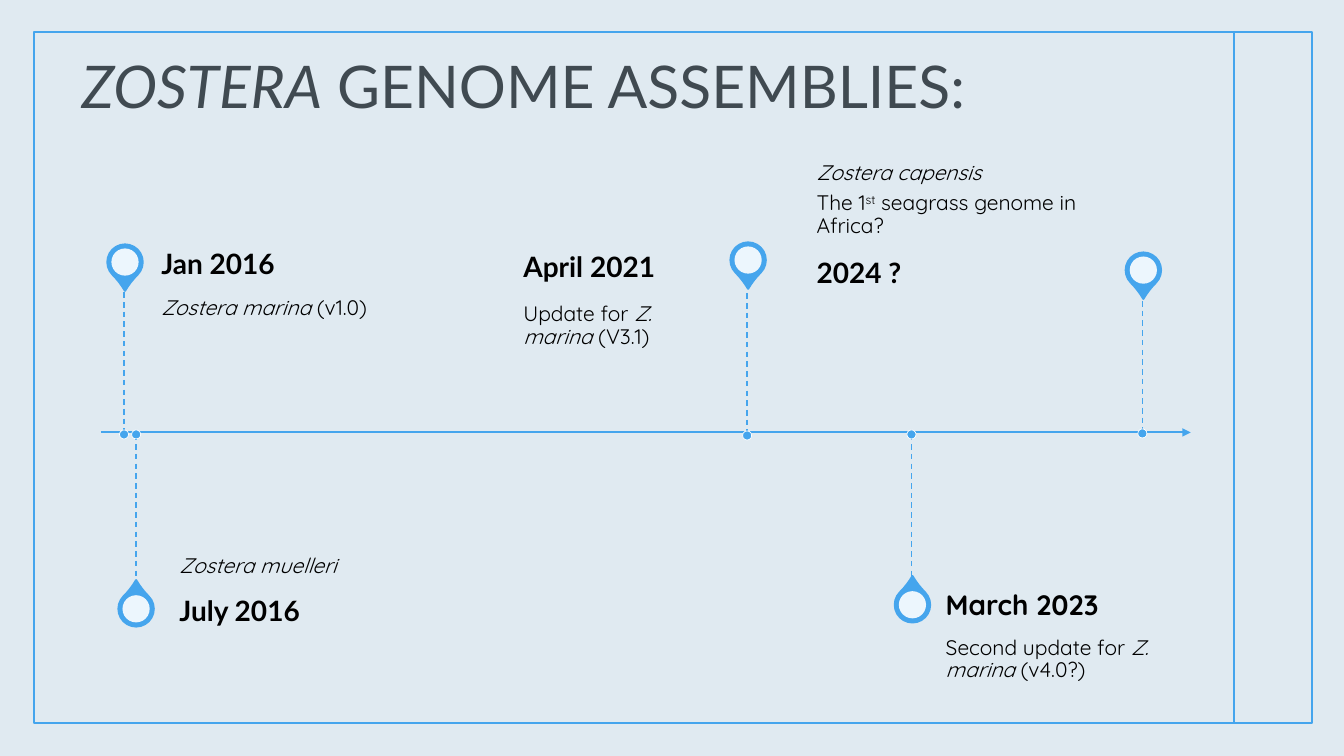
from dataclasses import dataclass

from lxml.etree import SubElement
from pptx import Presentation
from pptx.dml.color import RGBColor
from pptx.enum.dml import MSO_LINE
from pptx.enum.shapes import MSO_CONNECTOR, MSO_SHAPE as SHAPE
from pptx.enum.text import MSO_ANCHOR as ANCHOR, MSO_AUTO_SIZE, PP_ALIGN
from pptx.oxml.ns import qn
from pptx.util import Inches, Pt

COLORS = {"page": "F2F2F2", "accent": "45A5ED", "white": "FFFFFF",
          "title": "404040", "text": "000000"}
PIN, HOLE, DOT, STEM = 0.35, 0.27, 0.09, 1.41
TEXT_HEIGHT, DATE_HEIGHT = 1.41, 0.5


@dataclass
class Event:
    date: str
    details: list        # paragraphs, each a list of (text, style)
    pin: tuple           # centre of the pin
    dot: tuple           # centre of the dot on the axis
    date_box: tuple      # left, top, width
    detail_top: float
    up: bool = True      # pin above the axis
    date_font: str = "Lato"


EVENTS = [
    Event("Jan 2016", [[("Zostera marina ", "italic"), ("(v1.0)", "")]],
          (1.24, 2.6), (1.23, 4.31), (1.6, 2.38, 3), 2.87),
    Event("July 2016", [[("Zostera muelleri", "italic")]],
          (1.35, 6.04), (1.35, 4.31), (1.78, 5.83, 3), 4.41, up=False),
    Event("April 2021", [[("Update for ", ""), ("Z. marina ", "italic"), ("(V3.1)", "")]],
          (7.42, 2.58), (7.41, 4.32), (5.19, 2.41, 1.98), 2.91),
    Event("March 2023", [[("Second update for ", ""), ("Z. marina ", "italic"), ("(v4.0?)", "")]],
          (9.05, 6), (9.04, 4.31), (9.38, 5.77, 2.21), 6.22, up=False, date_font="Quicksand"),
    Event("2024 ?", [[("Zostera capensis", "italic")],
                     [("The 1", ""), ("st", "super"), (" seagrass genome in Africa?", "")]],
          (11.34, 2.68), (11.33, 4.3), (8.1, 2.47, 3), 1.05),
]


def color(name):
    return RGBColor.from_string(COLORS[name])


def add_shape(page, kind, box, fill=None, opacity=100, line=None, width=1.0):
    shape = page.shapes.add_shape(kind, *map(Inches, box))
    shape.shadow.inherit = False
    if fill:
        shape.fill.solid()
        shape.fill.fore_color.rgb = color(fill)
        if opacity < 100:
            tint = shape.fill._xPr.find(qn("a:solidFill"))[0]
            SubElement(tint, qn("a:alpha"), val=str(opacity * 1000))
    else:
        shape.fill.background()
    if line:
        shape.line.color.rgb = color(line)
        shape.line.width = Pt(width)
    else:
        shape.line.fill.background()
    return shape


def add_centered(page, kind, center, size, **style):
    x, y = center
    return add_shape(page, kind, (x - size / 2, y - size / 2, size, size), **style)


def add_line(page, start, end, width):
    line = page.shapes.add_connector(MSO_CONNECTOR.STRAIGHT, *map(Inches, start + end))
    line.line.color.rgb = color("accent")
    line.line.width = Pt(width)
    SubElement(line._element.spPr, qn("a:effectLst"))
    return line


def add_text(page, box, paragraphs, font, size, anchor, insets, bold=False):
    frame = page.shapes.add_textbox(*map(Inches, box)).text_frame
    frame.word_wrap = True
    frame.vertical_anchor = anchor
    (frame.margin_left, frame.margin_top,
     frame.margin_right, frame.margin_bottom) = map(Inches, insets)
    for index, spans in enumerate(paragraphs):
        para = frame.add_paragraph() if index else frame.paragraphs[0]
        para.line_spacing = 0.9
        para.space_after = Pt(5)
        para.font.name = font
        para.font.size = Pt(size)
        para.font.bold = bold
        para.font.color.rgb = color("text")
        for text, style in spans:
            span = para.add_run()
            span.text = text
            if style == "italic":
                span.font.italic = True
            elif style == "super":
                span._r.get_or_add_rPr().set("baseline", "30000")


def draw_frame(page, box):
    left, top, width, height = box
    page.background.fill.solid()
    page.background.fill.fore_color.rgb = color("page")
    add_shape(page, SHAPE.RECTANGLE, (0, 0, 13.33, 7.5), fill="accent", opacity=10)
    divider = left + width - 0.77
    add_line(page, (divider, top), (divider, top + height), 1.25)
    add_shape(page, SHAPE.RECTANGLE, box, line="accent", width=1.25)


def draw_title(page, box):
    title = page.shapes.title
    title.left, title.top, title.width, title.height = map(Inches, box)
    frame = title.text_frame
    frame.auto_size = MSO_AUTO_SIZE.NONE
    frame.vertical_anchor = ANCHOR.BOTTOM
    para = frame.paragraphs[0]
    para.alignment = PP_ALIGN.LEFT
    para.line_spacing = 0.9
    para.font.name = "Lato"
    para.font.size = Pt(42)
    para.font.color.rgb = color("title")
    for text, italic in (("ZOSTERA", True), (" GENOME ASSEMBLIES:", False)):
        span = para.add_run()
        span.text = text
        span.font.italic = italic


def draw_event(page, event):
    # Pin, stem and dot
    pin = add_centered(page, SHAPE.TEAR, event.pin, PIN, fill="accent", line="accent", width=1.5)
    pin.adjustments[0] = 1.15
    pin.rotation = 135 if event.up else 315
    add_centered(page, SHAPE.OVAL, event.pin, HOLE, fill="white", opacity=90)
    x, y = event.dot
    far_end = (x, y - STEM if event.up else y + STEM)
    start, end = sorted([far_end, event.dot])
    add_line(page, start, end, 1).line.dash_style = MSO_LINE.DASH
    add_centered(page, SHAPE.OVAL, event.dot, DOT, fill="accent", line="white", width=0.5)

    # Date and details, which stand above or below the date
    left, top, width = event.date_box
    above = event.detail_top < top
    add_text(page, (left, event.detail_top, width, TEXT_HEIGHT), event.details, "Quicksand", 15,
             ANCHOR.BOTTOM if above else ANCHOR.TOP,
             (0, 0.16, 0, 0.1) if above else (0, 0.1, 0.1, 0.16))
    add_text(page, (left, top, width, DATE_HEIGHT), [[(event.date, "")]], event.date_font, 20,
             ANCHOR.MIDDLE, (0, 0, 0.14, 0), bold=True)


def draw_timeline(page, box):
    left, axis, width = box
    arrow = add_line(page, (left, axis), (left + width, axis), 1.5)
    SubElement(arrow.line._get_or_add_ln(), qn("a:tailEnd"), type="triangle")
    for event in EVENTS:
        draw_event(page, event)


def main():
    deck = Presentation()
    deck.slide_width, deck.slide_height = Inches(13.33), Inches(7.5)
    page = deck.slides.add_slide(deck.slide_layouts[5])
    draw_frame(page, (0.34, 0.32, 12.67, 6.85))
    draw_title(page, (0.71, 0.41, 11.1, 0.84))
    draw_timeline(page, (1, 4.29, 10.81))
    deck.save("out.pptx")


if __name__ == "__main__":
    main()
